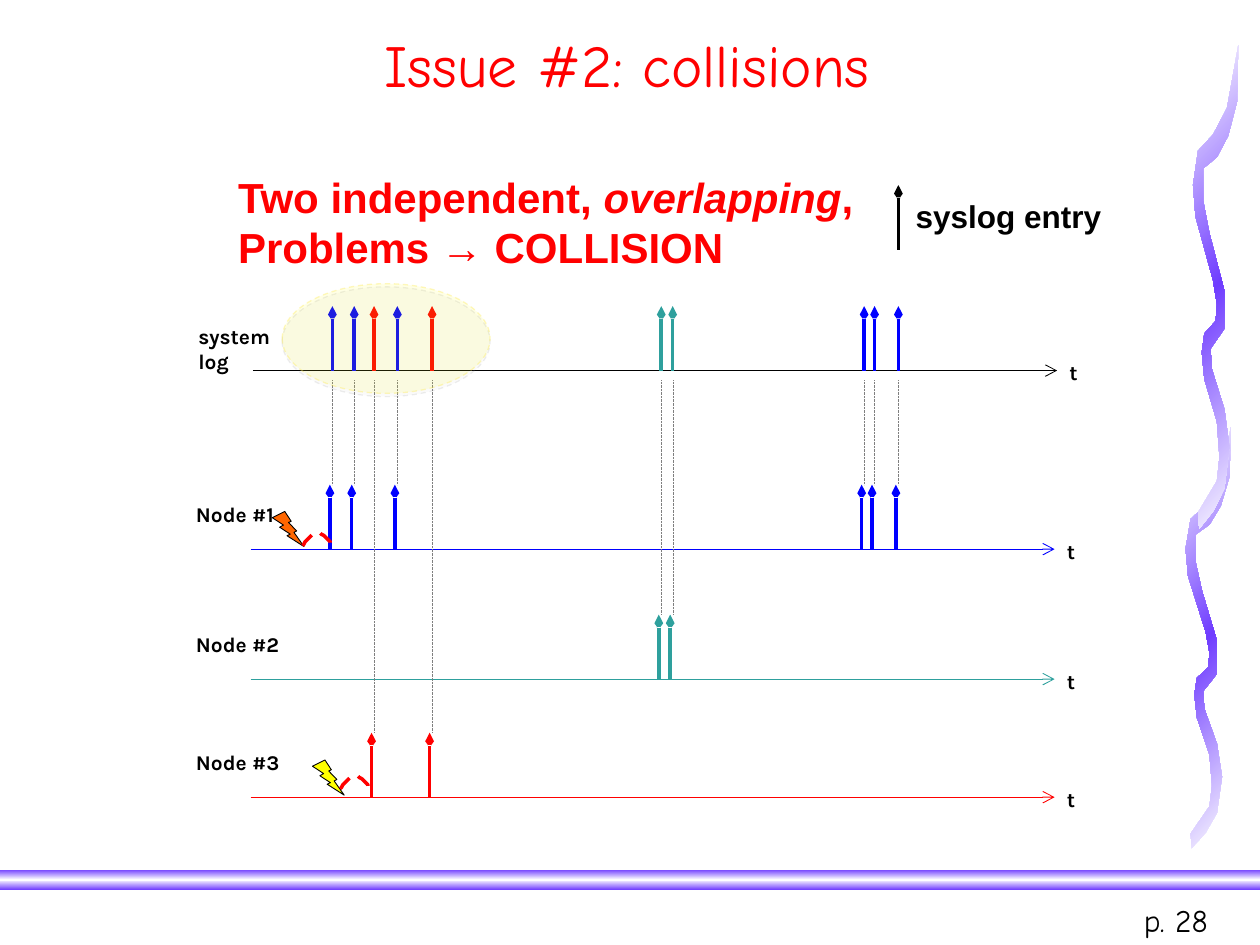
import pptx
import pptx.dml.color
import pptx.enum.dml
import pptx.enum.shapes
import pptx.enum.text
import pptx.oxml
import pptx.oxml.ns
import pptx.util
from lxml import etree

Cm = pptx.util.Cm
qn = pptx.oxml.ns.qn
SHAPES = pptx.enum.shapes.MSO_SHAPE
DASH = pptx.enum.dml.MSO_LINE.DASH
FIT = pptx.enum.text.MSO_AUTO_SIZE

COLOURS = {
    "white": "FFFFFF", "violet": "703DFF", "black": "000000", "blue": "0000FF",
    "teal": "2EA09D", "red": "FF0000", "grey": "7F7F7F", "yellow": "FFFF00",
    "orange": "FF6600", "cream": "FDED60", "shadow": "808080",
}
HUNDREDTH_INCH = Cm(0.0254)
WAVE = [(4, 371), (19, 346), (21, 327), (19, 299), (9, 265), (7, 244), (9, 229), (18, 219),
        (19, 206), (16, 187), (2, 136), (0, 111), (4, 84), (16, 71), (27, 50), (36, 0),
        (35, 45), (28, 72), (19, 89), (8, 98), (8, 123), (13, 149), (25, 195), (25, 225),
        (14, 241), (15, 257), (25, 289), (29, 319), (25, 352), (16, 370), (5, 384)]
LOG_AXIS = 7.47
ENTRY_HEIGHT = 1.3
LOG_SHIFT = 0.05
NODES = [
    ("Node #1", 11.07, "blue", [6.65, 7.09, 7.96, 17.37, 17.58, 18.06]),
    ("Node #2", 13.69, "teal", [13.28, 13.51]),
    ("Node #3", 16.07, "red", [7.49, 8.66]),
]
LABEL = {"name": "Karla", "size": pptx.util.Pt(12), "bold": True}
LEGEND = {"name": "Arial", "size": pptx.util.Pt(18), "bold": True}
HEADLINE = {"name": "Arial", "size": pptx.util.Pt(24), "bold": True}
PAGE_NUMBER = {"name": "Comic Neue", "size": pptx.util.Pt(18)}
TITLE = {"name": "Comic Neue", "size": pptx.util.Pt(34), "bold": False}


def rgb(colour):
    return pptx.dml.color.RGBColor.from_string(COLOURS[colour])


def bezier(start, first, second, end, steps=12):
    for step in range(1, steps + 1):
        t = step / steps
        weights = ((1 - t) ** 3, 3 * t * (1 - t) ** 2, 3 * t * t * (1 - t), t ** 3)
        yield tuple(sum(w * point[axis] for w, point in zip(weights, (start, first, second, end)))
                    for axis in (0, 1))


ARC = [(0, 11), *bezier((0, 11), (4, 6), (9, 0), (12, 0)),
       *bezier((12, 0), (16, 0), (23, 10), (23, 10))]


class Painter:
    def __init__(self, slide):
        self.slide = slide
        self.shapes = slide.shapes

    def fill_text(self, frame, paragraphs, style, colour):
        for index, runs in enumerate(paragraphs):
            para = frame.paragraphs[0] if index == 0 else frame.add_paragraph()
            for text, extra in runs:
                span = para.add_run()
                span.text = text
                for key, value in {**style, **extra}.items():
                    setattr(span.font, key, value)
                span.font.color.rgb = rgb(colour)

    def title(self, text, left, top, width, height):
        box = self.shapes.title
        place = {"left": left, "top": top, "width": width, "height": height}
        for key, value in place.items():
            setattr(box, key, Cm(value))
        frame = box.text_frame
        frame.auto_size = FIT.NONE
        frame.vertical_anchor = pptx.enum.text.MSO_ANCHOR.BOTTOM
        self.fill_text(frame, [[(text, {})]], TITLE, "red")
        frame.paragraphs[0].alignment = pptx.enum.text.PP_ALIGN.CENTER

    def text(self, paragraphs, left, top, width, height, style, colour="black", wrap=False):
        frame = self.shapes.add_textbox(Cm(left), Cm(top), Cm(width), Cm(height)).text_frame
        frame.word_wrap = wrap
        frame.auto_size = FIT.SHAPE_TO_FIT_TEXT
        self.fill_text(frame, paragraphs, style, colour)

    def outline(self, shape, colour, width, dash=None):
        shape.line.color.rgb = rgb(colour)
        shape.line.width = pptx.util.Pt(width)
        if dash:
            shape.line.dash_style = dash

    def line(self, start, end, colour, width, dash=None, head=None):
        link = self.shapes.add_connector(pptx.enum.shapes.MSO_CONNECTOR.STRAIGHT,
                                         *(Cm(value) for value in (*start, *end)))
        self.outline(link, colour, width, dash)
        properties = link._element.spPr
        if head:
            etree.SubElement(properties.find(qn("a:ln")), qn("a:tailEnd"),
                             type="arrow", w=head, len="med")
        etree.SubElement(properties, qn("a:effectLst"))

    def entry(self, x, axis, colour):
        self.line((x, axis), (x, axis - ENTRY_HEIGHT), colour, 2, head="sm")

    def timeline(self, left, axis, colour, names):
        self.line((left, axis), (left + 16.21, axis), colour, 0.5, head="med")
        self.text([[("t", {})]], left + 16.21, axis - 0.34, 0.69, 0.76, LABEL)
        self.text([[(name, {})] for name in names], left - 1.35, axis - 1.08,
                  2.2, 0.25 + 0.51 * len(names), LABEL)

    def shape(self, kind, left, top, width, height, fill):
        shape = self.shapes.add_shape(kind, Cm(left), Cm(top), Cm(width), Cm(height))
        shape.shadow.inherit = False
        shape.fill.solid()
        shape.fill.fore_color.rgb = rgb(fill)
        shape.line.fill.background()
        return shape

    def freeform(self, points, left, top, closed, stretch=1):
        builder = self.shapes.build_freeform(*points[0],
                                             scale=(HUNDREDTH_INCH, HUNDREDTH_INCH * stretch))
        builder.add_line_segments(points[1:], close=closed)
        shape = builder.convert_to_shape(Cm(left), Cm(top))
        shape.shadow.inherit = False
        shape.fill.background()
        shape.line.fill.background()
        return shape

    def gradient(self, shape, colours, angle):
        shape.fill.gradient()
        grad = shape._element.spPr.find(qn("a:gradFill"))
        for child in list(grad):
            grad.remove(child)
        stops = etree.SubElement(grad, qn("a:gsLst"))
        for index, colour in enumerate(colours):
            stop = etree.SubElement(stops, qn("a:gs"), pos=str(index * 50000))
            etree.SubElement(stop, qn("a:srgbClr"), val=COLOURS[colour])
        etree.SubElement(grad, qn("a:lin"), ang=str(angle * 60000), scaled="0")

    def highlight(self, left, top, width, height):
        shape = self.shape(SHAPES.OVAL, left, top, width, height, "yellow")
        self.outline(shape, "cream", 0.75, DASH)
        properties = shape._element.spPr
        for holder, alpha in (("a:solidFill", 10), ("a:ln/a:solidFill", 40)):
            tags = "/".join(qn(tag) for tag in holder.split("/"))
            colour = properties.find(tags + "/" + qn("a:srgbClr"))
            etree.SubElement(colour, qn("a:alpha"), val=str(alpha * 1000))
        shadow = etree.SubElement(properties.find(qn("a:effectLst")), qn("a:outerShdw"),
                                  blurRad="0", dist=str(int(pptx.util.Pt(1.8))), dir="5400000")
        colour = etree.SubElement(shadow, qn("a:srgbClr"), val=COLOURS["shadow"])
        etree.SubElement(colour, qn("a:alpha"), val="35000")

    def failure(self, bolt, arc, colour):
        shape = self.shape(SHAPES.LIGHTNING_BOLT, *bolt, 0.64, 0.71, colour)
        self.outline(shape, "black", 0.5)
        self.outline(self.freeform(ARC, *arc, closed=False), "red", 2, DASH)


def main():
    deck = pptx.Presentation()
    deck.slide_width, deck.slide_height = Cm(25.4), Cm(19.05)
    painter = Painter(deck.slides.add_slide(deck.slide_layouts[5]))

    for left, top, stretch in ((23.9, 8.61, 0.87), (24.05, 0.91, 1)):
        wave = painter.freeform(WAVE, left, top, closed=True, stretch=stretch)
        painter.gradient(wave, ["white", "violet", "white"], 45)
    bar = painter.shape(SHAPES.RECTANGLE, 0, 17.53, 25.4, 0.41, "violet")
    painter.gradient(bar, ["violet", "white", "violet"], 90)
    painter.text([[("p. 28", {})]], 22.81, 18.03, 2.59, 1.02, PAGE_NUMBER, wrap=True)
    painter.title("Issue #2: collisions", 1.09, 0.33, 23.11, 1.8)

    painter.timeline(5.1, LOG_AXIS, "black", ["system", "log"])
    for name, axis, colour, entries in NODES:
        painter.timeline(5.05, axis, colour, [name])
        for x in entries:
            log_x = x + LOG_SHIFT
            painter.entry(x, axis, colour)
            painter.line((log_x, LOG_AXIS + 0.2), (log_x, axis - ENTRY_HEIGHT), "grey", 0.11, DASH)
            painter.entry(log_x, LOG_AXIS, colour)

    painter.entry(18.11, 5.03, "black")
    painter.text([[("syslog entry", {})]], 18.21, 3.84, 4.24, 1.02, LEGEND)
    painter.highlight(5.69, 5.72, 4.19, 2.21)
    painter.failure((6.3, 15.32), (6.86, 15.62), "yellow")
    painter.failure((5.49, 10.31), (6.1, 10.72), "orange")
    painter.text([[("Two independent, ", {}), ("overlapping", {"italic": True}), (",", {})],
                  [("Problems → COLLISION", {})]], 4.55, 3.33, 12.95, 2.29, HEADLINE, "red")
    deck.save("out.pptx")


if __name__ == "__main__":
    main()
